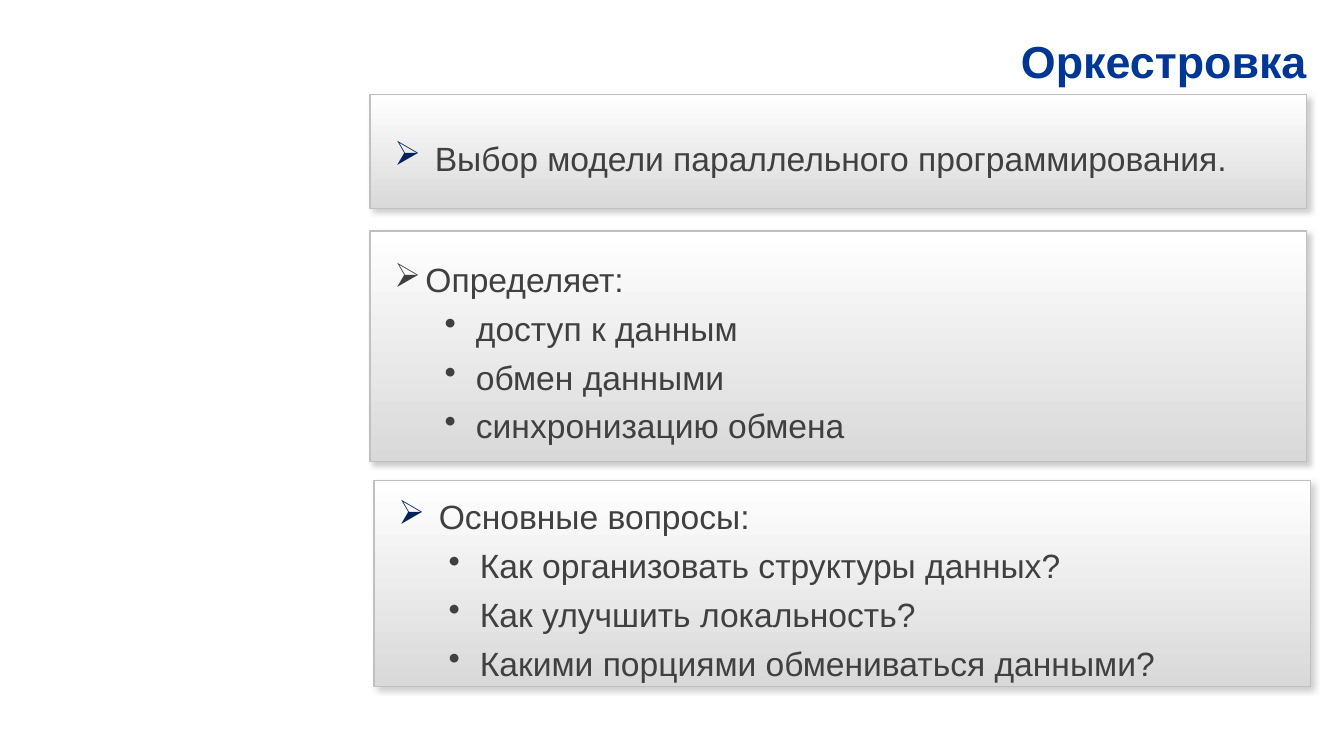
from lxml import etree
from pptx import Presentation
from pptx.dml.color import RGBColor
from pptx.enum.shapes import MSO_SHAPE
from pptx.enum.text import MSO_ANCHOR, PP_ALIGN
from pptx.oxml.ns import qn
from pptx.util import Pt

PX = 9144  # 100 px to the inch
RECT = MSO_SHAPE.RECTANGLE
MIDDLE = MSO_ANCHOR.MIDDLE
LEFT, RIGHT = PP_ALIGN.LEFT, PP_ALIGN.RIGHT
COLORS = {"title": "003794", "mark": "00235C", "text": "404040", "top": "FFFFFF",
          "base": "D9D9D9", "line": "C0C0C0", "shade": "808080"}
WIDE, STEP = 929, 31


def color(name):
    return RGBColor.from_string(COLORS[name])


def write(par, text, size, hue, bold=False):
    run = par.add_run()
    run.text = text
    for key, val in {"name": "Arial", "size": Pt(size), "bold": bold}.items():
        setattr(run.font, key, val)
    run.font.color.rgb = color(hue)


deck = Presentation()
deck.slide_width, deck.slide_height = 1333 * PX, 750 * PX
slide = deck.slides.add_slide(deck.slide_layouts[6])

# Title
title = slide.shapes.add_textbox(367 * PX, 26 * PX, WIDE * PX, 68 * PX)
frame = title.text_frame
for key, val in {"word_wrap": True, "vertical_anchor": MIDDLE, "margin_left": 0,
                 "margin_right": 0, "margin_top": 0, "margin_bottom": 0}.items():
    setattr(frame, key, val)
frame.paragraphs[0].alignment = RIGHT
write(frame.paragraphs[0], "Оркестровка", 32, "title", True)

# Panels: left, top, height, spaced heading, lines
panels = [
    (367, 94, 113, True, ["Выбор модели параллельного программирования."]),
    (367, 229, 229, False, ["Определяет:", "доступ к данным", "обмен данными",
                            "синхронизацию обмена"]),
    (371, 477, 204, True, ["Основные вопросы:", "Как организовать структуры данных?",
                           "Как улучшить локальность?",
                           "Какими порциями обмениваться данными?"]),
]
for left, top, high, spaced, lines in panels:
    box = slide.shapes.add_shape(RECT, left * PX, top * PX, WIDE * PX, high * PX)

    # Gradient and outline
    box.fill.gradient()
    box.fill.gradient_angle = 270
    for stop, name in zip(box.fill.gradient_stops, ("top", "base")):
        stop.color.rgb = color(name)
        stop.position = 0 if name == "top" else 1
    box.line.color.rgb = color("line")
    box.line.width = Pt(1)

    # Soft shadow
    box.shadow.inherit = False
    effect = box._element.spPr.find(qn("a:effectLst"))
    shade = etree.SubElement(effect, qn("a:outerShdw"), blurRad=str(Pt(4)),
                             dist=str(Pt(3)), dir="2700000", algn="tl", rotWithShape="0")
    tint = etree.SubElement(shade, qn("a:srgbClr"), val=COLORS["shade"])
    etree.SubElement(tint, qn("a:alpha"), val="40000")

    # Bulleted text
    frame = box.text_frame
    for key, val in {"word_wrap": True, "vertical_anchor": MIDDLE,
                     "margin_left": 24 * PX, "margin_right": 24 * PX,
                     "margin_top": 4 * PX, "margin_bottom": 4 * PX}.items():
        setattr(frame, key, val)
    for i, line in enumerate(lines):
        head = i == 0
        par = frame.paragraphs[0] if head else frame.add_paragraph()
        for key, val in {"alignment": LEFT, "level": 0 if head else 1,
                         "line_spacing": 1.3 if head else 1.0,
                         "space_after": Pt(6)}.items():
            setattr(par, key, val)
        props = par._p.get_or_add_pPr()
        props.set("marL", str((STEP if head else STEP + 50) * PX))
        props.set("indent", str(-STEP * PX))
        etree.SubElement(props, qn("a:buChar"), char="➢" if head else "•")
        if head and spaced:
            write(par, " ", 24, "mark")
        write(par, line, 24, "text")

deck.save("out.pptx")
